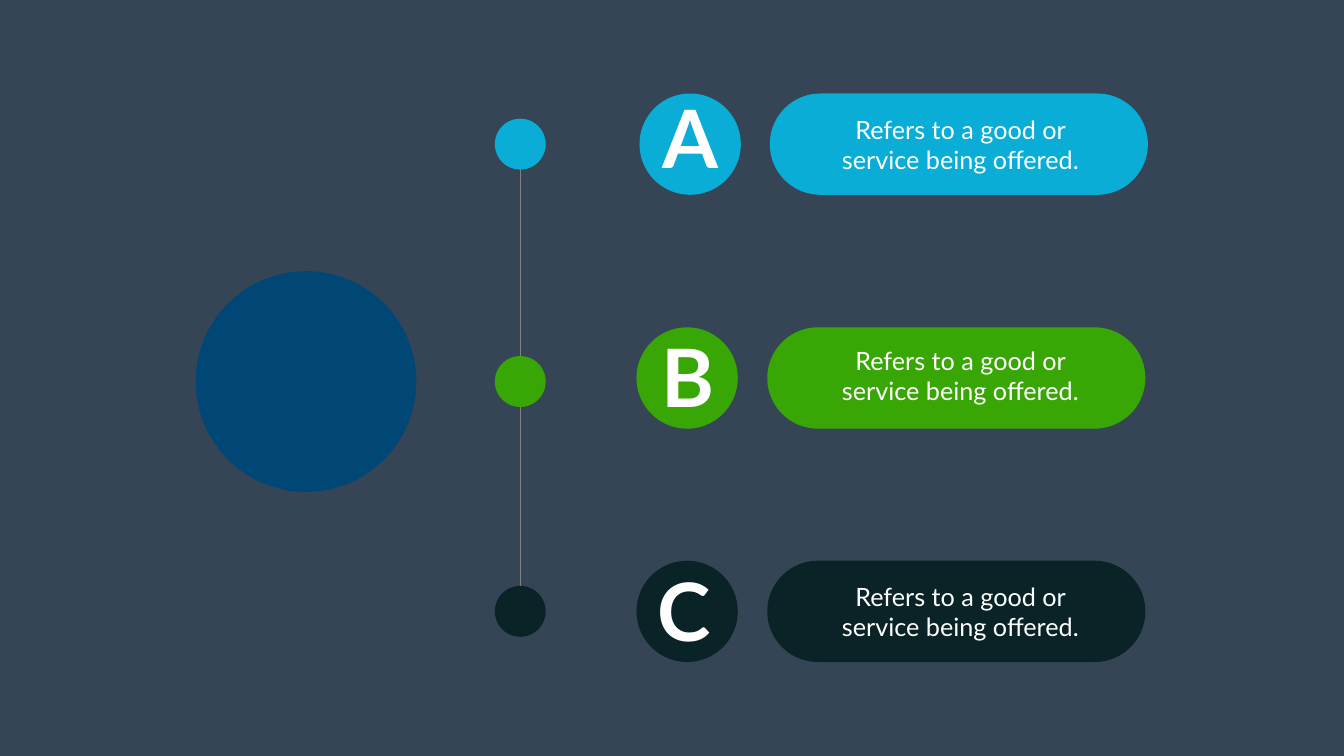
from dataclasses import dataclass

from lxml.etree import SubElement
from pptx import Presentation
from pptx.dml.color import RGBColor
from pptx.enum.shapes import MSO_CONNECTOR, MSO_SHAPE
from pptx.enum.text import MSO_AUTO_SIZE, PP_ALIGN
from pptx.oxml.ns import qn
from pptx.shapes.autoshape import Shape
from pptx.slide import Slide
from pptx.util import Inches, Pt


@dataclass(frozen=True)
class Theme:
    back: str = "364556"
    hub: str = "004776"
    sky: str = "09ADD5"
    green: str = "38A604"
    dark: str = "0A2326"
    line: str = "808080"
    text: str = "FFFFFF"
    font: str = "Lato"
    big: float = 115
    body: float = 36
    rule: float = 0.88


@dataclass(frozen=True)
class Item:
    """One row; mid values are centres, top values are text box tops."""
    letter: str
    color: str
    dot_mid: float
    mid: float
    badge_mid: float
    pill_left: float
    letter_left: float
    letter_top: float
    note_top: float


THEME = Theme()
NOTE = "Refers to a good or service being offered."
AXIS = 10.32
DOT = 1.01
BADGE = 2.01
PILL = 7.5
ITEMS = [
    Item("A", THEME.sky, 2.86, 2.86, 13.69, 15.27, 12.8, 1.7, 2.21),
    Item("B", THEME.green, 7.57, 7.5, 13.63, 15.22, 12.76, 6.44, 6.8),
    Item("C", THEME.dark, 12.13, 12.13, 13.63, 15.22, 12.68, 11.08, 11.48),
]


def add_fill(slide: Slide, kind: MSO_SHAPE, left: float, top: float,
             width: float, height: float, color: str) -> Shape:
    shape = slide.shapes.add_shape(
        kind, Inches(left), Inches(top), Inches(width), Inches(height))
    shape.shadow.inherit = False
    shape.fill.solid()
    shape.fill.fore_color.rgb = RGBColor.from_string(color)
    shape.line.fill.background()
    return shape


def add_disc(slide: Slide, x: float, y: float, size: float, color: str) -> None:
    """Draw a circle around the centre x, y."""
    add_fill(slide, MSO_SHAPE.OVAL, x - size / 2, y - size / 2, size, size, color)


def add_pill(slide: Slide, left: float, mid: float, color: str) -> None:
    pill = add_fill(slide, MSO_SHAPE.ROUNDED_RECTANGLE,
                    left, mid - BADGE / 2, PILL, BADGE, color)
    pill.adjustments[0] = 0.5


def add_text(slide: Slide, text: str, left: float, top: float, width: float,
             height: float, size: float, bold: bool = False) -> None:
    box = slide.shapes.add_textbox(
        Inches(left), Inches(top), Inches(width), Inches(height))
    frame = box.text_frame
    frame.word_wrap = True
    frame.auto_size = MSO_AUTO_SIZE.SHAPE_TO_FIT_TEXT
    frame.text = text
    para = frame.paragraphs[0]
    para.alignment = PP_ALIGN.CENTER
    font = para.runs[0].font
    font.name = THEME.font
    font.size = Pt(size)
    font.bold = bold
    font.color.rgb = RGBColor.from_string(THEME.text)


def add_axis(slide: Slide, top: float, end: float) -> None:
    line = slide.shapes.add_connector(
        MSO_CONNECTOR.STRAIGHT, Inches(AXIS), Inches(top), Inches(AXIS), Inches(end))
    line.line.color.rgb = RGBColor.from_string(THEME.line)
    line.line.width = Pt(THEME.rule)
    SubElement(line._element.spPr, qn("a:effectLst"))


def add_item(slide: Slide, item: Item) -> None:
    add_disc(slide, AXIS, item.dot_mid, DOT, item.color)
    add_disc(slide, item.badge_mid, item.mid, BADGE, item.color)
    add_pill(slide, item.pill_left, item.mid, item.color)
    add_text(slide, item.letter, item.letter_left, item.letter_top,
             1.79, 2.04, THEME.big, bold=True)
    add_text(slide, NOTE, 16.57, item.note_top, 4.96, 1.31, THEME.body)


def main() -> None:
    deck = Presentation()
    deck.slide_width = Inches(26.66)
    deck.slide_height = Inches(15)
    slide = deck.slides.add_slide(deck.slide_layouts[6])
    fill = slide.background.fill
    fill.solid()
    fill.fore_color.rgb = RGBColor.from_string(THEME.back)

    add_disc(slide, 6.07, 7.57, 4.38, THEME.hub)
    add_axis(slide, ITEMS[0].dot_mid, ITEMS[-1].dot_mid)
    for item in ITEMS:
        add_item(slide, item)
    deck.save("out.pptx")


if __name__ == "__main__":
    main()
